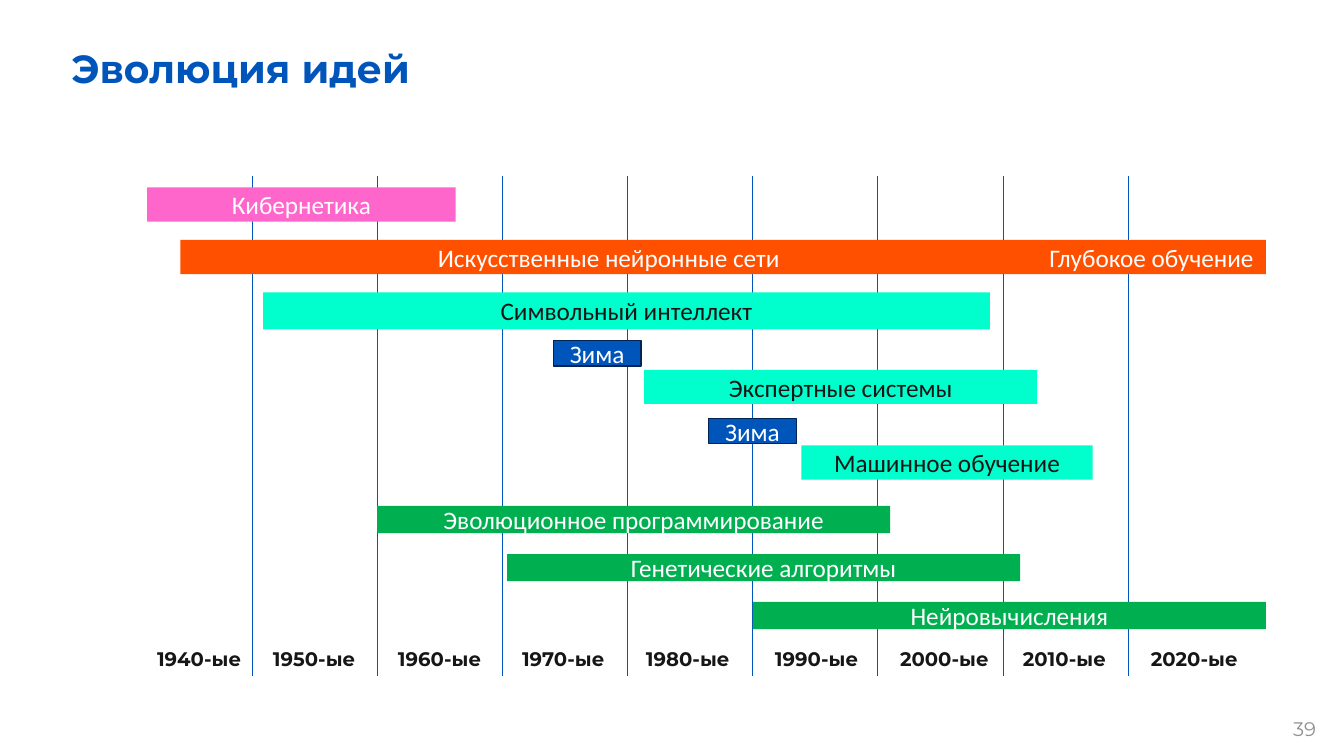
from dataclasses import dataclass

from lxml import etree
from pptx import Presentation
from pptx.dml.color import RGBColor
from pptx.enum.shapes import MSO_CONNECTOR, MSO_SHAPE
from pptx.enum.text import MSO_ANCHOR, MSO_AUTO_SIZE, PP_ALIGN
from pptx.oxml.ns import qn
from pptx.slide import Slide
from pptx.text.text import TextFrame
from pptx.util import Pt

RECTANGLE = MSO_SHAPE.RECTANGLE
STRAIGHT = MSO_CONNECTOR.STRAIGHT
MIDDLE = MSO_ANCHOR.MIDDLE
GROW = MSO_AUTO_SIZE.SHAPE_TO_FIT_TEXT
LEFT, CENTER = PP_ALIGN.LEFT, PP_ALIGN.CENTER

COLORS = {
    "blue": "0055BB",
    "navy": "002552",
    "ink": "171616",
    "gray": "8F9092",
    "white": "FFFFFF",
    "pink": "FF66CC",
    "orange": "FF5000",
    "mint": "00FFCC",
    "green": "00B050",
}
HEADING_FONT, BAR_FONT = "Montserrat", "Calibri"

GRID_LEFT, GRID_STEP, GRID_LINES = 180, 89.4, 8
GRID_TOP, GRID_BOTTOM = 126, 483.1
DECADE_TOP, LABEL_HEIGHT = 458.6, 24.2


@dataclass(frozen=True)
class Era:
    name: str
    left: float
    top: float
    width: float
    height: float
    fill: str
    ink: str = "white"
    outline: str = ""


@dataclass(frozen=True)
class Label:
    text: str
    left: float
    top: float
    width: float
    color: str = "ink"
    bold: bool = True


ERAS = [
    Era("Кибернетика", 105.1, 133.9, 220.3, 24.4, "pink"),
    Era("Искусственные нейронные сети", 128.9, 171.4, 612, 24.4, "orange"),
    Era("Глубокое обучение", 740.9, 171.4, 163.4, 24.4, "orange"),
    Era("Символьный интеллект", 187.9, 208.8, 519.1, 26.6, "mint", "ink"),
    Era("Экспертные системы", 460.1, 264.2, 280.8, 24.4, "mint", "ink"),
    Era("Машинное обучение", 572.4, 318.2, 208.1, 24.4, "mint", "ink"),
    Era("Зима", 395.3, 243.4, 62.6, 18, "blue", outline="navy"),
    Era("Зима", 506.2, 298.8, 62.6, 18, "blue", outline="navy"),
    Era("Эволюционное программирование", 269.4, 361.4, 366.5, 19.4, "green"),
    Era("Генетические алгоритмы", 362.2, 395.8, 366.5, 19.4, "green"),
    Era("Нейровычисления", 537.8, 430, 366.5, 19.4, "green"),
]

# Left edge and width of each decade label, from the 1940s on
DECADE_SPANS = [
    (105.1, 74.9), (187.9, 73.4), (277.2, 74.2),
    (365.8, 74.2), (454.3, 74.9), (546.5, 74.2),
    (635.8, 78.5), (723.6, 77), (815, 77),
]


def color(name: str) -> RGBColor:
    return RGBColor.from_string(COLORS[name])


def write(frame: TextFrame, text: str, size: float, font_name: str,
          ink: str, bold: bool = False, align: PP_ALIGN = LEFT) -> None:
    frame.text = text
    paragraph = frame.paragraphs[0]
    paragraph.alignment = align
    font = paragraph.runs[0].font
    font.size, font.name, font.bold = Pt(size), font_name, bold
    font.color.rgb = color(ink)


def add_title(slide: Slide, text: str) -> None:
    title = slide.shapes.title
    title.left, title.top = Pt(43.9), Pt(28.1)
    title.width, title.height = Pt(724.3), Pt(41)
    write(title.text_frame, text, 28, HEADING_FONT, "blue", bold=True)
    title.text_frame.vertical_anchor = MIDDLE
    title.text_frame.auto_size = GROW


def add_decade_line(slide: Slide, x: float) -> None:
    line = slide.shapes.add_connector(
        STRAIGHT, Pt(x), Pt(GRID_TOP), Pt(x), Pt(GRID_BOTTOM))
    line.line.color.rgb = color("blue")
    line.line.width = Pt(0.5)
    etree.SubElement(line._element.spPr, qn("a:effectLst"))


def add_label(slide: Slide, label: Label) -> None:
    box = slide.shapes.add_textbox(
        Pt(label.left), Pt(label.top), Pt(label.width), Pt(LABEL_HEIGHT))
    write(box.text_frame, label.text, 14, HEADING_FONT, label.color, label.bold)
    box.text_frame.word_wrap = False
    box.text_frame.auto_size = GROW


def add_era(slide: Slide, era: Era) -> None:
    bar = slide.shapes.add_shape(
        RECTANGLE, Pt(era.left), Pt(era.top), Pt(era.width), Pt(era.height))
    bar.shadow.inherit = False
    bar.fill.solid()
    bar.fill.fore_color.rgb = color(era.fill)
    if era.outline:
        bar.line.color.rgb = color(era.outline)
        bar.line.width = Pt(1)
    else:
        bar.line.fill.background()
    write(bar.text_frame, era.name, 18, BAR_FONT, era.ink, align=CENTER)
    bar.text_frame.vertical_anchor = MIDDLE


def main() -> None:
    presentation = Presentation()
    presentation.slide_width, presentation.slide_height = Pt(960), Pt(540)
    slide = presentation.slides.add_slide(presentation.slide_layouts[5])

    add_label(slide, Label("39", 916.6, 508.3, 32.4, "gray", bold=False))
    add_title(slide, "Эволюция идей")
    for index in range(GRID_LINES):
        add_decade_line(slide, GRID_LEFT + index * GRID_STEP)
    for index, (left, width) in enumerate(DECADE_SPANS):
        add_label(slide, Label(f"{1940 + 10 * index}-ые", left, DECADE_TOP, width))
    for era in ERAS:
        add_era(slide, era)

    presentation.save("out.pptx")


if __name__ == "__main__":
    main()
